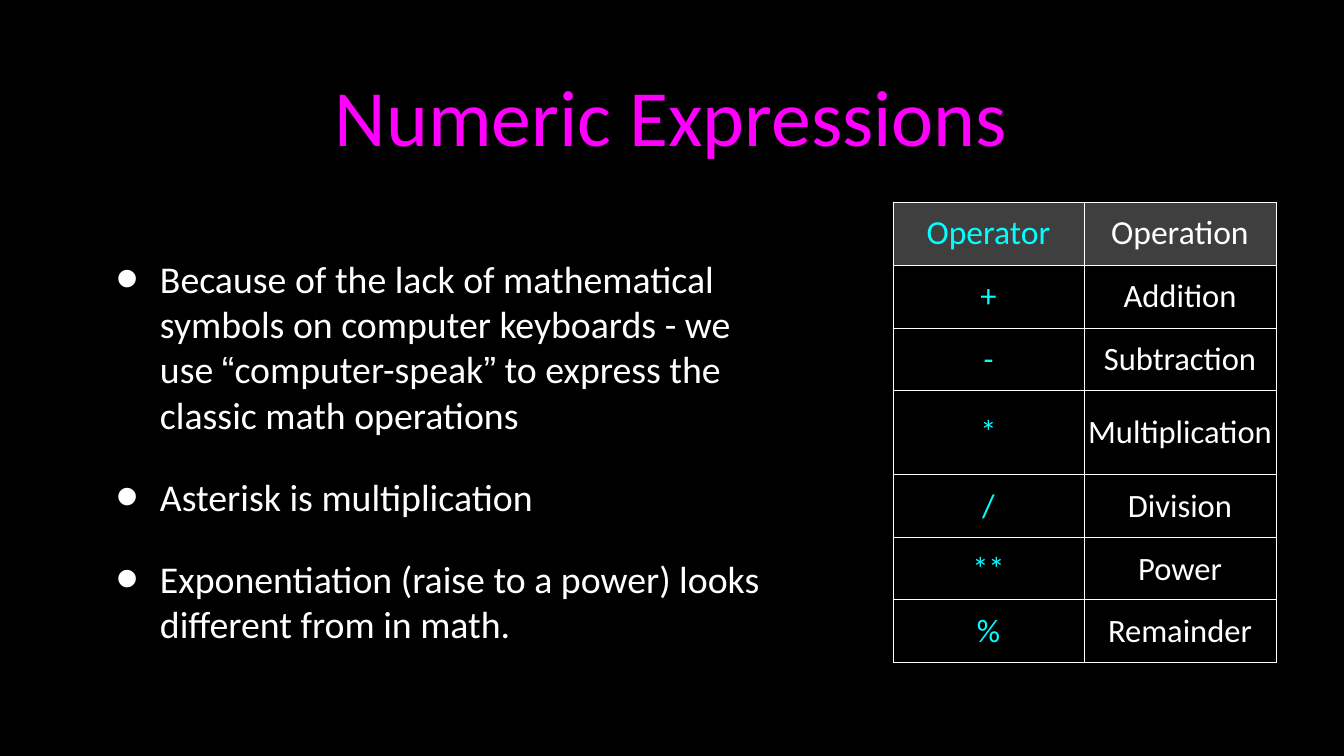
from typing import NamedTuple

from lxml import etree
from pptx import Presentation
from pptx.dml.color import RGBColor
from pptx.enum.text import MSO_ANCHOR, PP_ALIGN
from pptx.oxml.ns import qn
from pptx.util import Pt

EMU_PER_PX = 12095
CENTER = PP_ALIGN.CENTER
MIDDLE = MSO_ANCHOR.MIDDLE
BLACK = RGBColor(0, 0, 0)
WHITE = RGBColor(255, 255, 255)
MAGENTA = RGBColor(255, 0, 255)
CYAN = RGBColor(0, 255, 255)
GRAY = RGBColor(127, 127, 127)
BODY_FONT = "Calibri"
QUOTE_FONT = "Arial"
INSET = 3


class Box(NamedTuple):
    left: int
    top: int
    width: int
    height: int


class Row(NamedTuple):
    operator: str
    operation: str
    height: int
    size: int = 31


TITLE_BOX = Box(95, 20, 1152, 190)
BULLET_BOX = Box(95, 215, 686, 472)
TABLE_LEFT, TABLE_TOP = 893, 202
COLUMN_WIDTHS = (191, 192)
ROWS = (
    Row("Operator", "Operation", 63, 32),
    Row("+", "Addition", 63),
    Row("-", "Subtraction", 62),
    Row("*", "Multiplication", 85),
    Row("/", "Division", 63),
    Row("**", "Power", 62),
    Row("%", "Remainder", 63),
)
# Each bullet is a list of pieces; a lone quotation mark takes the quote font.
BULLETS = (
    ("Because of the lack of mathematical symbols on computer keyboards - we use ",
     "“", "computer-speak", "”", " to express the classic math operations"),
    ("Asterisk is multiplication",),
    ("Exponentiation (raise to a power) looks different from in math.",),
)


def px(n: int) -> int:
    return n * EMU_PER_PX


def style_run(r, size: int, color: RGBColor, font: str = BODY_FONT) -> None:
    r.font.size = Pt(size)
    r.font.name = font
    r.font.color.rgb = color


def add_text_frame(s, box: Box):
    tf = s.shapes.add_textbox(*map(px, box)).text_frame
    tf.word_wrap = True
    tf.vertical_anchor = MIDDLE
    tf.margin_left = tf.margin_right = tf.margin_top = tf.margin_bottom = px(INSET)
    return tf


def add_title(s, text: str) -> None:
    tf = add_text_frame(s, TITLE_BOX)
    tf.text = text
    p = tf.paragraphs[0]
    p.alignment = CENTER
    style_run(p.runs[0], 76, MAGENTA)


def set_bullet(p) -> None:
    pPr = p._p.get_or_add_pPr()
    pPr.set("marL", str(px(62)))
    pPr.set("indent", str(px(-44)))
    color = etree.SubElement(pPr, qn("a:buClr"))
    etree.SubElement(color, qn("a:srgbClr"), val=str(WHITE))
    etree.SubElement(pPr, qn("a:buSzPct"), val="171000")
    etree.SubElement(pPr, qn("a:buFont"), typeface=QUOTE_FONT)
    etree.SubElement(pPr, qn("a:buChar"), char="•")


def add_bullets(s) -> None:
    tf = add_text_frame(s, BULLET_BOX)
    for i, pieces in enumerate(BULLETS):
        p = tf.add_paragraph() if i else tf.paragraphs[0]
        set_bullet(p)
        if i:
            p.space_before = Pt(35)
        for piece in pieces:
            r = p.add_run()
            r.text = piece
            style_run(r, 36, WHITE, QUOTE_FONT if piece in "“”" else BODY_FONT)


def set_borders(cell) -> None:
    tcPr = cell._tc.get_or_add_tcPr()
    for i, side in enumerate(("lnL", "lnR", "lnT", "lnB")):
        ln = etree.Element(qn(f"a:{side}"), w=str(Pt(0.96)))
        fill = etree.SubElement(ln, qn("a:solidFill"))
        etree.SubElement(fill, qn("a:srgbClr"), val=str(WHITE))
        tcPr.insert(i, ln)


def fill_header(cell) -> None:
    """Fill the cell with half-transparent gray."""
    cell.fill.solid()
    cell.fill.fore_color.rgb = GRAY
    color = cell._tc.tcPr.find(qn("a:solidFill")).find(qn("a:srgbClr"))
    etree.SubElement(color, qn("a:alpha"), val="50000")


def fill_cell(cell, text: str, size: int, color: RGBColor, header: bool) -> None:
    cell.text = text
    cell.vertical_anchor = MIDDLE
    cell.margin_left = cell.margin_right = px(INSET)
    cell.margin_top = cell.margin_bottom = px(4)
    p = cell.text_frame.paragraphs[0]
    p.alignment = CENTER
    style_run(p.runs[0], size, color)
    if header:
        fill_header(cell)
    else:
        cell.fill.background()
    set_borders(cell)


def add_operator_table(s) -> None:
    box = Box(TABLE_LEFT, TABLE_TOP, sum(COLUMN_WIDTHS), sum(row.height for row in ROWS))
    table = s.shapes.add_table(len(ROWS), len(COLUMN_WIDTHS), *map(px, box)).table
    table.first_row = table.horz_banding = False
    for column, width in zip(table.columns, COLUMN_WIDTHS):
        column.width = px(width)
    for i, row in enumerate(ROWS):
        table.rows[i].height = px(row.height)
        fill_cell(table.cell(i, 0), row.operator, row.size, CYAN, i == 0)
        fill_cell(table.cell(i, 1), row.operation, row.size, WHITE, i == 0)


def main() -> None:
    prs = Presentation()
    prs.slide_width, prs.slide_height = px(1344), px(756)
    s = prs.slides.add_slide(prs.slide_layouts[6])
    s.background.fill.solid()
    s.background.fill.fore_color.rgb = BLACK
    add_title(s, "Numeric Expressions")
    add_bullets(s)
    add_operator_table(s)
    prs.save("out.pptx")


if __name__ == "__main__":
    main()
